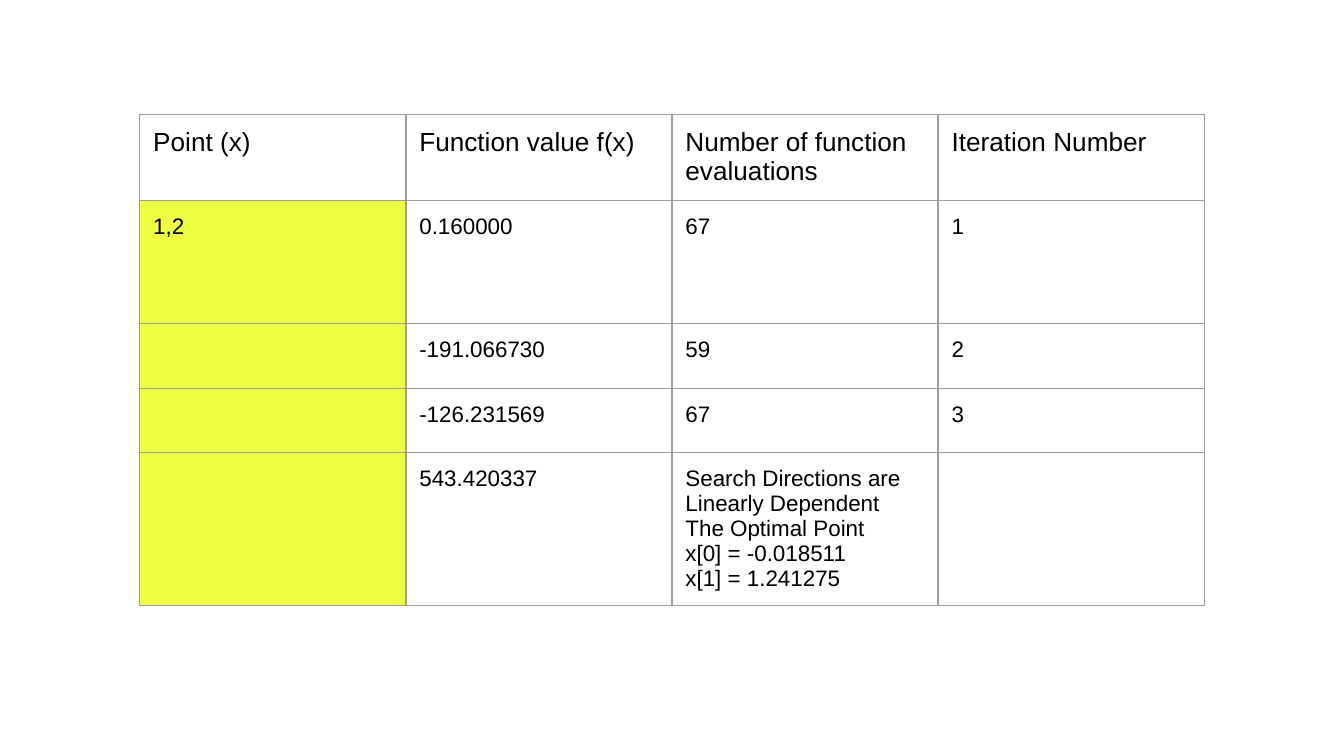
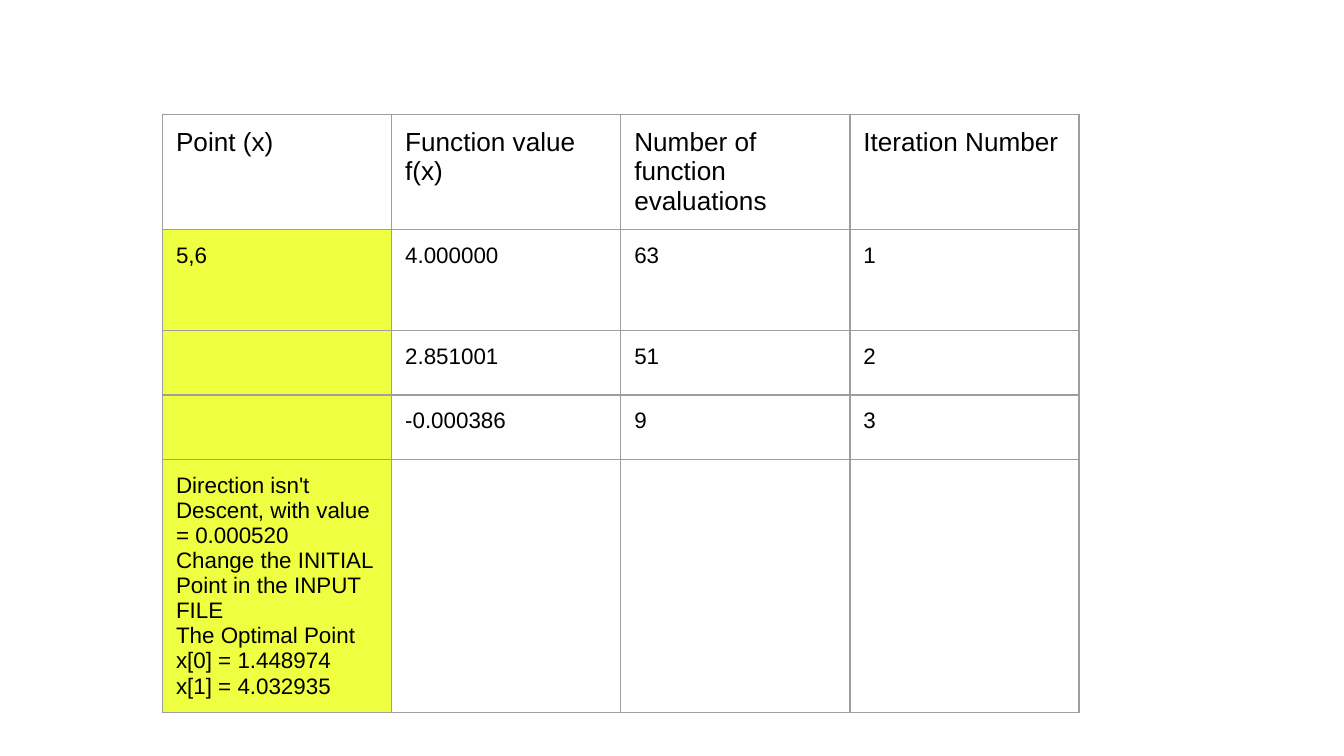
import pptx
import pptx.dml.color
import pptx.util
from lxml import etree
from pptx.oxml.ns import qn

Inches = pptx.util.Inches
Pt = pptx.util.Pt

SLIDE_WIDTH = 10
SLIDE_HEIGHT = SLIDE_WIDTH * 9 / 16
WHITE = "FFFFFF"
BLACK = "000000"
HIGHLIGHT = "EEFF41"
BORDER = "9E9E9E"
FONT = "Arial"
HEADER_SIZE = 14
BODY_SIZE = 12
TABLE_TOP = 0.85
CELL_MARGIN = 0.1

HEADERS = ["Point (x)", "Function value f(x)",
           "Number of function evaluations", "Iteration Number"]

RUNS_FROM_1_2 = [
    ["1,2", "0.160000", "67", "1"],
    ["", "-191.066730", "59", "2"],
    ["", "-126.231569", "67", "3"],
    ["", "543.420337",
     "Search Directions are Linearly Dependent\nThe Optimal Point\n"
     "x[0] = -0.018511\nx[1] = 1.241275", ""],
]

RUNS_FROM_5_6 = [
    ["5,6", "4.000000", "63", "1"],
    ["", "2.851001", "51", "2"],
    ["", "-0.000386", "9", "3"],
    ["Direction isn't Descent, with value = 0.000520\n"
     "Change the INITIAL Point in the INPUT FILE\nThe Optimal Point\n"
     "x[0] = 1.448974\nx[1] = 4.032935", "", "", ""],
]


def color(value):
    return pptx.dml.color.RGBColor.from_string(value)


def set_borders(cell):
    properties = cell._tc.get_or_add_tcPr()
    for side in ("a:lnL", "a:lnR", "a:lnT", "a:lnB"):
        line = etree.SubElement(properties, qn(side), w=str(Pt(0.75)))
        fill = etree.SubElement(line, qn("a:solidFill"))
        etree.SubElement(fill, qn("a:srgbClr"), val=BORDER)


def write_text(cell, text, size):
    for side in ("left", "right", "top", "bottom"):
        setattr(cell, f"margin_{side}", Inches(CELL_MARGIN))
    cell.text_frame.text = text
    text_format = {"name": FONT, "size": Pt(size), "bold": False}
    for para in cell.text_frame.paragraphs:
        for span in para.runs:
            for name, value in text_format.items():
                setattr(span.font, name, value)
            span.font.color.rgb = color(BLACK)


def format_cell(cell, text, size, highlighted):
    set_borders(cell)
    if highlighted:
        cell.fill.solid()
        cell.fill.fore_color.rgb = color(HIGHLIGHT)
    else:
        cell.fill.background()
    if text:
        write_text(cell, text, size)


def add_results_table(page, left, width, row_heights, results):
    """Add a header row and results, with the starting points highlighted."""
    rows = [HEADERS] + results
    frame = page.shapes.add_table(
        len(rows), len(HEADERS), Inches(left), Inches(TABLE_TOP),
        Inches(width), Inches(sum(row_heights)))
    table = frame.table
    table.first_row = False
    table.horz_banding = False
    for column in table.columns:
        column.width = Inches(width / len(HEADERS))
    for row, height in zip(table.rows, row_heights):
        row.height = Inches(height)
    for row_index, row in enumerate(rows):
        is_header = row_index == 0
        size = HEADER_SIZE if is_header else BODY_SIZE
        for column_index, text in enumerate(row):
            highlighted = column_index == 0 and not is_header
            format_cell(table.cell(row_index, column_index), text, size, highlighted)


def add_page(deck):
    page = deck.slides.add_slide(deck.slide_layouts[6])
    page.background.fill.solid()
    page.background.fill.fore_color.rgb = color(WHITE)
    return page


def main():
    deck = pptx.Presentation()
    deck.slide_width = Inches(SLIDE_WIDTH)
    deck.slide_height = Inches(SLIDE_HEIGHT)
    add_results_table(add_page(deck), 1.04, 7.92,
                      [0.64, 0.92, 0.48, 0.48, 1.13], RUNS_FROM_1_2)
    add_results_table(add_page(deck), 1.21, 6.82,
                      [0.86, 0.75, 0.48, 0.48, 1.88], RUNS_FROM_5_6)
    deck.save("out.pptx")


if __name__ == "__main__":
    main()
